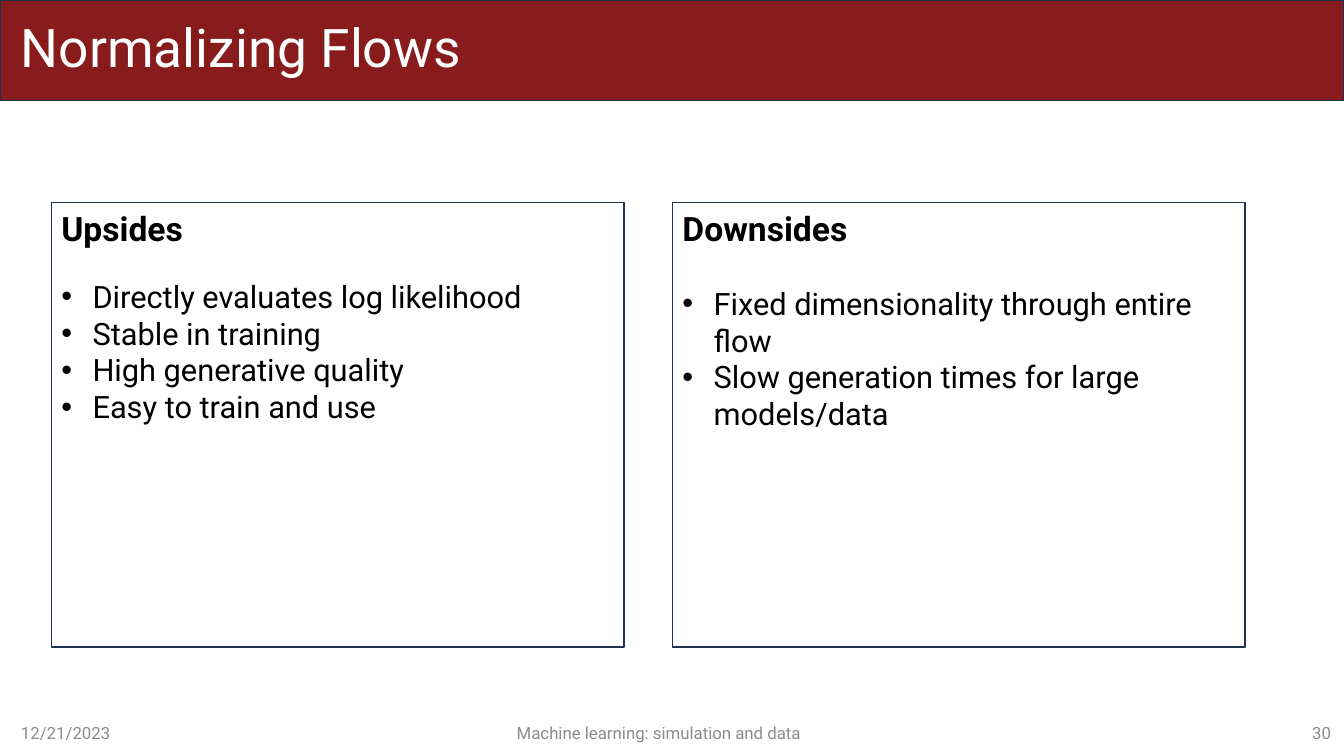
"""Build the slide on the upsides and downsides of normalizing flows."""
from dataclasses import dataclass

from lxml import etree
from pptx import Presentation
from pptx.dml.color import RGBColor
from pptx.enum.shapes import MSO_SHAPE
from pptx.enum.text import MSO_ANCHOR, PP_ALIGN
from pptx.oxml.ns import qn
from pptx.util import Inches, Pt

RECT = MSO_SHAPE.RECTANGLE
TOP, MIDDLE = MSO_ANCHOR.TOP, MSO_ANCHOR.MIDDLE
LEFT, CENTER, RIGHT = PP_ALIGN.LEFT, PP_ALIGN.CENTER, PP_ALIGN.RIGHT


@dataclass(frozen=True)
class Theme:
    """Hold the font, colours and type sizes."""
    font: str = "Roboto"
    red: str = "881C1C"
    navy: str = "1E3256"
    white: str = "FFFFFF"
    black: str = "000000"
    gray: str = "8C8C8C"
    title: int = 38
    head: int = 24
    body: int = 22
    foot: int = 12


class Deck:
    """Draw styled elements on the current slide."""

    def __init__(self, file, theme):
        """Add a blank slide to the file."""
        self.theme = theme
        self.slide = file.slides.add_slide(file.slide_layouts[6])

    def style(self, para, size, color, bold=False, align=LEFT):
        """Format a paragraph and its runs."""
        para.alignment = align
        for run in para.runs:
            font = run.font
            font.name, font.size, font.bold = self.theme.font, Pt(size), bold
            font.color.rgb = RGBColor.from_string(color)

    def rect(self, x, y, w, h, fill):
        """Draw a filled rectangle with a navy outline."""
        shape = self.slide.shapes.add_shape(
            RECT, Inches(x), Inches(y), Inches(w), Inches(h))
        shape.shadow.inherit = False
        shape.fill.solid()
        shape.fill.fore_color.rgb = RGBColor.from_string(fill)
        shape.line.color.rgb = RGBColor.from_string(self.theme.navy)
        shape.line.width = Pt(1)
        return shape

    def label(self, text, x, y, w, h, size, color, align=LEFT):
        """Place one line of text, centred vertically."""
        box = self.slide.shapes.add_textbox(
            Inches(x), Inches(y), Inches(w), Inches(h))
        frame = box.text_frame
        frame.word_wrap = True
        frame.vertical_anchor = MIDDLE
        frame.text = text
        self.style(frame.paragraphs[0], size, color, align=align)
        return frame.paragraphs[0]

    def bullet(self, para):
        """Give a paragraph a hanging bullet."""
        props = para._p.get_or_add_pPr()
        props.set("marL", str(Inches(0.31)))
        props.set("indent", str(-Inches(0.31)))
        etree.SubElement(props, qn("a:buFont")).set("typeface", "Arial")
        etree.SubElement(props, qn("a:buChar")).set("char", "•")

    def panel(self, x, head, items, gap):
        """Draw a box with a bold heading and a bullet list."""
        theme = self.theme
        frame = self.rect(x, 2.01, 5.68, 4.41, theme.white).text_frame
        frame.word_wrap = True
        frame.vertical_anchor = TOP
        frame.text = head
        self.style(frame.paragraphs[0], theme.head, theme.black, bold=True)
        for place, item in enumerate(items):
            para = frame.add_paragraph()
            para.text = item
            self.bullet(para)
            if place == 0:
                para.space_before = Pt(gap)
            self.style(para, theme.body, theme.black)


def main():
    """Build and save the slide."""
    file = Presentation()
    file.slide_width, file.slide_height = Inches(13.33), Inches(7.5)
    theme = Theme()
    deck = Deck(file, theme)

    deck.rect(0, 0, 13.33, 1, theme.red)
    title = deck.label("Normalizing Flows", 0.11, 0.11, 11.57, 0.77,
                       theme.title, theme.white)
    title.line_spacing = 0.9

    for text, x, w, align in (
            ("12/21/2023", 0.11, 1.1, LEFT),
            ("Machine learning: simulation and data", 1.38, 10.31, CENTER),
            ("30", 11.95, 1.35, RIGHT)):
        deck.label(text, x, 7.07, w, 0.4, theme.foot, theme.gray, align)

    deck.panel(0.51, "Upsides", (
        "Directly evaluates log likelihood",
        "Stable in training",
        "High generative quality",
        "Easy to train and use"), gap=21)
    deck.panel(6.67, "Downsides", (
        "Fixed dimensionality through entire flow",
        "Slow generation times for large models/data"), gap=26)

    file.save("out.pptx")


if __name__ == "__main__":
    main()
